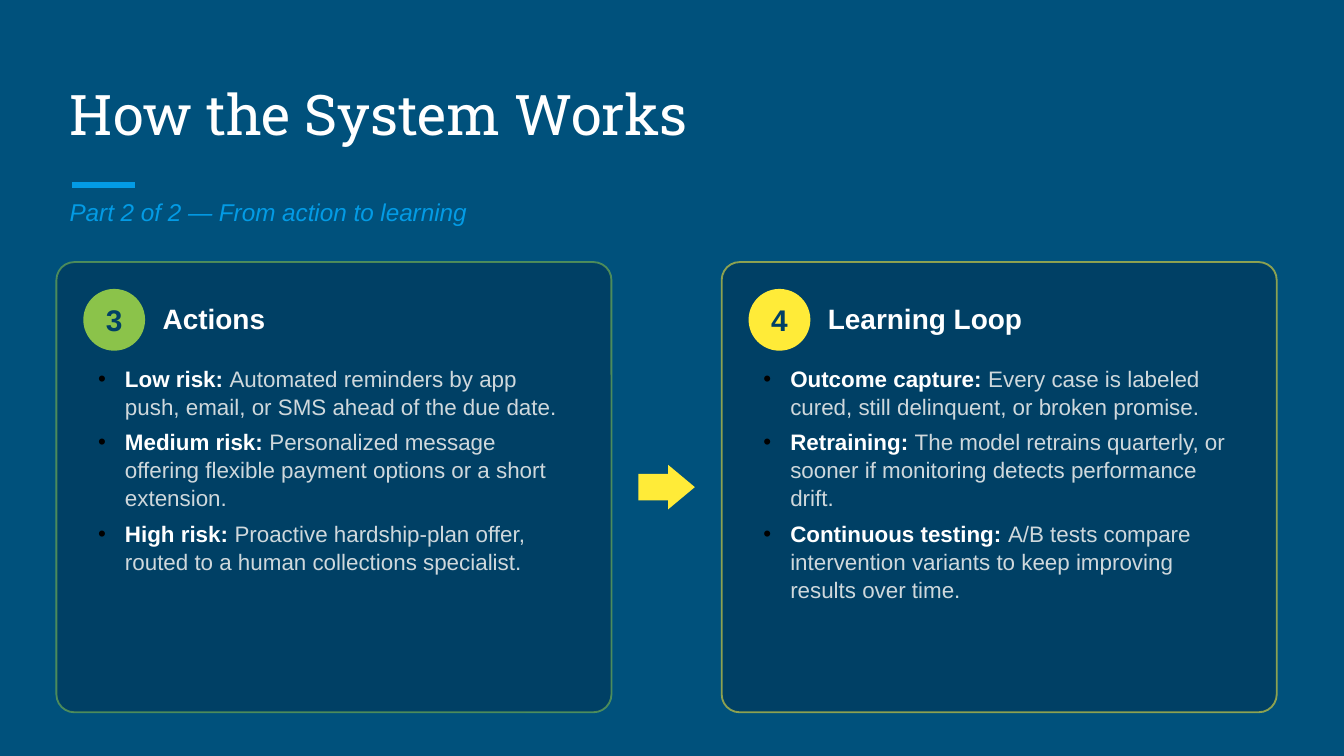
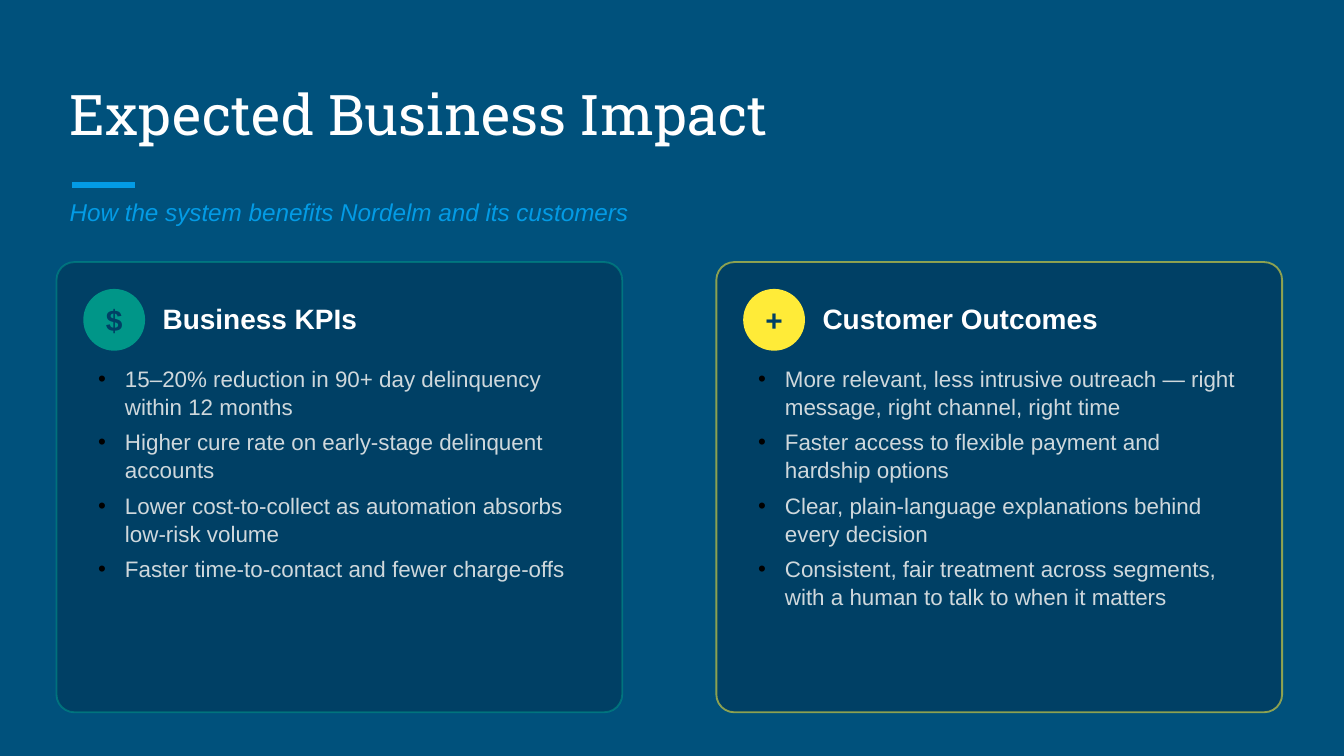
from lxml import etree
from pptx import Presentation
from pptx.dml.color import RGBColor
from pptx.enum.shapes import MSO_CONNECTOR, MSO_SHAPE
from pptx.enum.text import MSO_ANCHOR, MSO_AUTO_SIZE, PP_ALIGN
from pptx.oxml.ns import qn
from pptx.util import Inches, Pt

ROUNDED, ELLIPSE, ARROW = MSO_SHAPE.ROUNDED_RECTANGLE, MSO_SHAPE.OVAL, MSO_SHAPE.RIGHT_ARROW
STRAIGHT = MSO_CONNECTOR.STRAIGHT
TOP, MIDDLE, BOTTOM = MSO_ANCHOR.TOP, MSO_ANCHOR.MIDDLE, MSO_ANCHOR.BOTTOM
LEFT, CENTER = PP_ALIGN.LEFT, PP_ALIGN.CENTER
FIXED = MSO_AUTO_SIZE.NONE

COLORS = {
    "background": "00517C", "panel": "004065", "accent": "039BE5",
    "white": "FFFFFF", "body": "CFD8DC", "bullet": "000000",
    "green": "8BC34A", "yellow": "FFEB38", "teal": "009688",
}
TITLE_FONT, BODY_FONT = "Roboto Slab", "Arial"
SLIDE_WIDTH = Inches(10)
SLIDE_HEIGHT = SLIDE_WIDTH * 9 // 16
GRID_COLUMNS = 100
CELL = SLIDE_WIDTH / GRID_COLUMNS
MARGIN, CARD_TOP, CARD_HEIGHT = 4.2, 19.5, 33.5

SLIDES = [
    {
        "title": "How the System Works",
        "subtitle": "Part 2 of 2 — From action to learning",
        "card_width": 41.3, "gap": 8.2, "arrow": True,
        "cards": [
            ("3", "Actions", "green", [
                ("Low risk: ", "Automated reminders by app push, email, or SMS ahead of the due date."),
                ("Medium risk: ", "Personalized message offering flexible payment options or a short extension."),
                ("High risk: ", "Proactive hardship-plan offer, routed to a human collections specialist."),
            ]),
            ("4", "Learning Loop", "yellow", [
                ("Outcome capture: ", "Every case is labeled cured, still delinquent, or broken promise."),
                ("Retraining: ", "The model retrains quarterly, or sooner if monitoring detects performance drift."),
                ("Continuous testing: ", "A/B tests compare intervention variants to keep improving results over time."),
            ]),
        ],
    },
    {
        "title": "Expected Business Impact",
        "subtitle": "How the system benefits Nordelm and its customers",
        "card_width": 42.1, "gap": 7, "arrow": False,
        "cards": [
            ("$", "Business KPIs", "teal", [
                ("15–20% reduction in 90+ day delinquency within 12 months",),
                ("Higher cure rate on early-stage delinquent accounts",),
                ("Lower cost-to-collect as automation absorbs low-risk volume",),
                ("Faster time-to-contact and fewer charge-offs",),
            ]),
            ("+", "Customer Outcomes", "yellow", [
                ("More relevant, less intrusive outreach — right message, right channel, right time",),
                ("Faster access to flexible payment and hardship options",),
                ("Clear, plain-language explanations behind every decision",),
                ("Consistent, fair treatment across segments, with a human to talk to when it matters",),
            ]),
        ],
    },
]


def color(key):
    return RGBColor.from_string(COLORS[key])


def cells(*lengths):
    return [round(length * CELL) for length in lengths]


def place(shape, box):
    shape.left, shape.top, shape.width, shape.height = cells(*box)
    return shape


def add_bullet(paragraph):
    properties = paragraph._p.get_or_add_pPr()
    indent = cells(2)[0]
    properties.set("marL", str(indent))
    properties.set("indent", str(-indent))
    tint = etree.SubElement(properties, qn("a:buClr"))
    etree.SubElement(tint, qn("a:srgbClr"), val=COLORS["bullet"])
    etree.SubElement(properties, qn("a:buFont"), typeface=BODY_FONT)
    etree.SubElement(properties, qn("a:buChar"), char="•")


def write(frame, paragraphs, size, ink, font=BODY_FONT, bold=False, italic=False,
          align=LEFT, anchor=TOP, margins=(0, 0), bullets=False):
    frame.word_wrap = True
    frame.auto_size = FIXED
    frame.vertical_anchor = anchor
    frame.margin_left = frame.margin_right = cells(margins[0])[0]
    frame.margin_top = frame.margin_bottom = cells(margins[1])[0]
    for index, parts in enumerate(paragraphs):
        paragraph = frame.add_paragraph() if index else frame.paragraphs[0]
        if bullets:
            add_bullet(paragraph)
            paragraph.line_spacing = 1.04
        paragraph.alignment = align
        paragraph.space_before = Pt(4 if index else 0)
        for part in parts:
            is_lead = len(parts) > 1 and part is parts[0]
            run = paragraph.add_run()
            run.text = part
            run.font.name, run.font.size = font, Pt(size)
            run.font.bold, run.font.italic = bold or is_lead, italic
            run.font.color.rgb = color("white" if is_lead else ink)


def add_filled(slide, kind, box, fill, adjustments=()):
    shape = slide.shapes.add_shape(kind, *cells(*box))
    shape.shadow.inherit = False
    shape.fill.solid()
    shape.fill.fore_color.rgb = color(fill)
    shape.line.fill.background()
    for index, value in enumerate(adjustments):
        shape.adjustments[index] = value
    return shape


def add_header(slide, title, subtitle):
    width = GRID_COLUMNS - 2 * MARGIN
    heading = place(slide.shapes.title, (MARGIN, 3.6, width, 8.3))
    write(heading.text_frame, [(title,)], 30, "white", font=TITLE_FONT,
          anchor=BOTTOM, margins=(1, 1))
    rule = slide.shapes.add_connector(STRAIGHT, *cells(5.35, 13.75, 10.05, 13.75))
    rule.line.color.rgb = color("accent")
    rule.line.width = Pt(3)
    etree.SubElement(rule.element.spPr, qn("a:effectLst"))
    tagline = slide.shapes.add_textbox(*cells(MARGIN, 14.7, width, 2.8))
    write(tagline.text_frame, [(subtitle,)], 13, "accent", italic=True, margins=(1, 0))


def add_card(slide, box, points_holder, symbol, heading, accent, points):
    left, top, width, height = box
    panel = add_filled(slide, ROUNDED, box, "panel", [0.04])
    panel.line.color.rgb = color(accent)
    panel.line.width = Pt(1)
    outline_color = panel.line.fill.fore_color and panel.element.spPr.find(
        f"{qn('a:ln')}/{qn('a:solidFill')}/{qn('a:srgbClr')}")
    etree.SubElement(outline_color, qn("a:alpha"), val="55000")

    badge = add_filled(slide, ELLIPSE, (left + 2, top + 2, 4.6, 4.6), accent)
    write(badge.text_frame, [(symbol,)], 16, "panel", bold=True, align=CENTER, anchor=MIDDLE)
    label = slide.shapes.add_textbox(*cells(left + 7.9, top + 1.6, width - 8.9, 5.2))
    write(label.text_frame, [(heading,)], 15, "white", bold=True, anchor=MIDDLE)

    place(points_holder, (left + 3.1, top + 7.6, width - 6.1, height - 9.7))
    write(points_holder.text_frame, points, 12, "body", bullets=True)
    points_holder.element.getparent().append(points_holder.element)


def add_gap_arrow(slide, gap_box):
    left, top, width, height = gap_box
    arrow_width, arrow_height = 4.2, 3.3
    add_filled(slide, ARROW, (left + (width - arrow_width) / 2, top + (height - arrow_height) / 2,
                              arrow_width, arrow_height), "yellow", [0.6, 0.6])


def add_card_slide(deck, content):
    slide = deck.slides.add_slide(deck.slide_layouts.get_by_name("Two Content"))
    add_header(slide, content["title"], content["subtitle"])
    width, gap = content["card_width"], content["gap"]
    holders = [holder for holder in slide.placeholders if holder.placeholder_format.idx]
    for index, (holder, card) in enumerate(zip(holders, content["cards"])):
        left = MARGIN + index * (width + gap)
        add_card(slide, (left, CARD_TOP, width, CARD_HEIGHT), holder, *card)
    if content["arrow"]:
        add_gap_arrow(slide, (MARGIN + width, CARD_TOP, gap, CARD_HEIGHT))


def main():
    deck = Presentation()
    deck.slide_width, deck.slide_height = SLIDE_WIDTH, SLIDE_HEIGHT
    backdrop = deck.slide_master.background.fill
    backdrop.solid()
    backdrop.fore_color.rgb = color("background")
    for content in SLIDES:
        add_card_slide(deck, content)
    deck.save("out.pptx")


if __name__ == "__main__":
    main()
